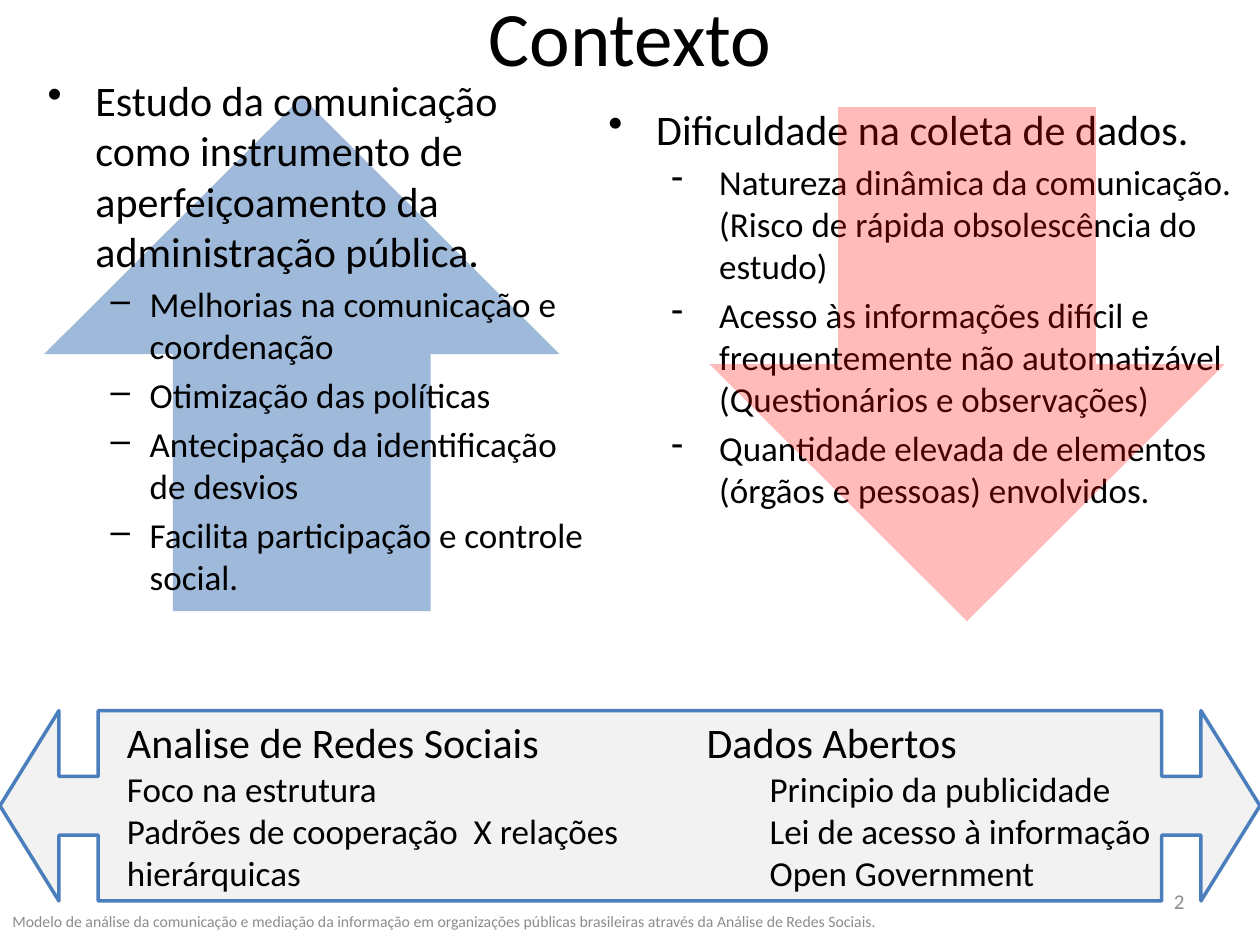
from lxml import etree
from pptx import Presentation
from pptx.dml.color import RGBColor
from pptx.enum.shapes import MSO_SHAPE
from pptx.enum.text import MSO_ANCHOR, PP_ALIGN
from pptx.oxml.ns import qn
from pptx.util import Inches, Pt

DOWN_ARROW = MSO_SHAPE.DOWN_ARROW
CALLOUT = MSO_SHAPE.LEFT_RIGHT_ARROW_CALLOUT
TOP, MIDDLE = MSO_ANCHOR.TOP, MSO_ANCHOR.MIDDLE
LEFT, CENTER, RIGHT = PP_ALIGN.LEFT, PP_ALIGN.CENTER, PP_ALIGN.RIGHT

FONT = "Calibri"
BLACK, GRAY = "000000", "8C8C8C"
HEAD_SIZE, ITEM_SIZE = 24, 20


def color(value):
    return RGBColor.from_string(value)


def add_tinted_shape(page, kind, box, fill, opacity):
    """Add an unlined shape with a see-through fill; opacity in percent."""
    shape = page.shapes.add_shape(kind, *map(Inches, box))
    shape.shadow.inherit = False
    shape.fill.solid()
    shape.fill.fore_color.rgb = color(fill)
    tint = shape.fill._xPr.find(qn("a:solidFill"))[0]
    etree.SubElement(tint, qn("a:alpha")).set("val", str(opacity * 1000))
    shape.line.fill.background()
    return shape


def add_frame(page, box, anchor=TOP):
    frame = page.shapes.add_textbox(*map(Inches, box)).text_frame
    frame.word_wrap = True
    frame.vertical_anchor = anchor
    return frame


def write_para(para, text, size, ink=BLACK, align=LEFT):
    para.text = text
    para.alignment = align
    para.font.name = FONT
    para.font.size = Pt(size)
    para.font.color.rgb = color(ink)


def set_indent(para, margin, hang=0, bullet=None):
    props = para._p.get_or_add_pPr()
    props.set("marL", str(Inches(margin)))
    props.set("indent", str(Inches(-hang)))
    if bullet:
        mark = etree.Element(qn("a:buChar"), char=bullet)
        props.insert_element_before(mark, "a:tabLst", "a:defRPr", "a:extLst")


def add_line(page, box, text, size, ink, align):
    """One vertically centred line: title, footer or page number."""
    frame = add_frame(page, box, MIDDLE)
    write_para(frame.paragraphs[0], text, size, ink, align)


def add_bullet_column(page, box, heading, items, dash, margin, hang):
    frame = add_frame(page, box)
    head = frame.paragraphs[0]
    write_para(head, heading, HEAD_SIZE)
    set_indent(head, 0.38, 0.38, "•")
    head.space_before = Pt(HEAD_SIZE * 0.2)
    for item in items:
        para = frame.add_paragraph()
        write_para(para, item, ITEM_SIZE)
        set_indent(para, margin, hang, dash)
        para.space_before = Pt(ITEM_SIZE * 0.2)


def add_topic(page, box, heading, items, margin=0):
    """Heading with plain lines below it, inside the banner."""
    frame = add_frame(page, box)
    write_para(frame.paragraphs[0], heading, HEAD_SIZE)
    for item in items:
        para = frame.add_paragraph()
        write_para(para, item, ITEM_SIZE)
        set_indent(para, margin)


def add_banner(page, box):
    banner = add_tinted_shape(page, CALLOUT, box, "808080", 10)
    for index, value in enumerate((0.31, 0.5, 0.31, 0.844)):
        banner.adjustments[index] = value
    banner.line.color.rgb = color("4B7EBC")
    banner.line.width = Pt(2)


def main():
    deck = Presentation()
    deck.slide_width, deck.slide_height = Inches(10), Inches(7.5)
    page = deck.slides.add_slide(deck.slide_layouts[6])

    # Banner and rising arrow behind the text
    banner_top, banner_height = 5.64, 1.51
    add_banner(page, (0, banner_top, 10, banner_height))
    rising = add_tinted_shape(page, DOWN_ARROW, (0.35, 0.77, 4.09, 4.08), "4F81BD", 55)
    rising.rotation = 180

    # Title
    add_line(page, (0.5, -0.34, 9, 1.25), "Contexto", 44, BLACK, CENTER)

    # Benefits
    add_bullet_column(
        page, (0.28, 0.54, 4.5, 4.35),
        "Estudo da comunicação como instrumento de aperfeiçoamento da administração pública.",
        ["Melhorias na comunicação e coordenação",
         "Otimização das políticas",
         "Antecipação da identificação de desvios",
         "Facilita participação e controle social."],
        "–", 0.81, 0.31)

    # Footer and page number
    add_line(page, (0, 7.11, 9.41, 0.4),
             "Modelo de análise da comunicação e mediação da informação em organizações "
             "públicas brasileiras através da Análise de Redes Sociais.", 9, GRAY, LEFT)
    add_line(page, (7.17, 6.95, 2.33, 0.4), "2", 12, GRAY, RIGHT)

    # Difficulties
    add_bullet_column(
        page, (4.73, 0.77, 5.29, 3.66),
        "Dificuldade na coleta de dados.",
        ["Natureza dinâmica da comunicação. (Risco de rápida obsolescência do estudo)",
         "Acesso às informações difícil e frequentemente não automatizável "
         "(Questionários e observações)",
         "Quantidade elevada de elementos (órgãos e pessoas) envolvidos."],
        "-", 0.88, 0.38)

    # Banner topics, with the falling arrow over the difficulties
    add_topic(page, (5.51, banner_top, 3.74, banner_height), "Dados Abertos",
              ["Principio da publicidade", "Lei de acesso à informação", "Open Government"],
              0.5)
    add_tinted_shape(page, DOWN_ARROW, (5.63, 0.85, 4.09, 4.08), "FF0000", 27)
    add_topic(page, (0.91, banner_top, 4.13, banner_height), "Analise de Redes Sociais",
              ["Foco na estrutura", "Padrões de cooperação  X relações hierárquicas"])

    deck.save("out.pptx")


if __name__ == "__main__":
    main()
